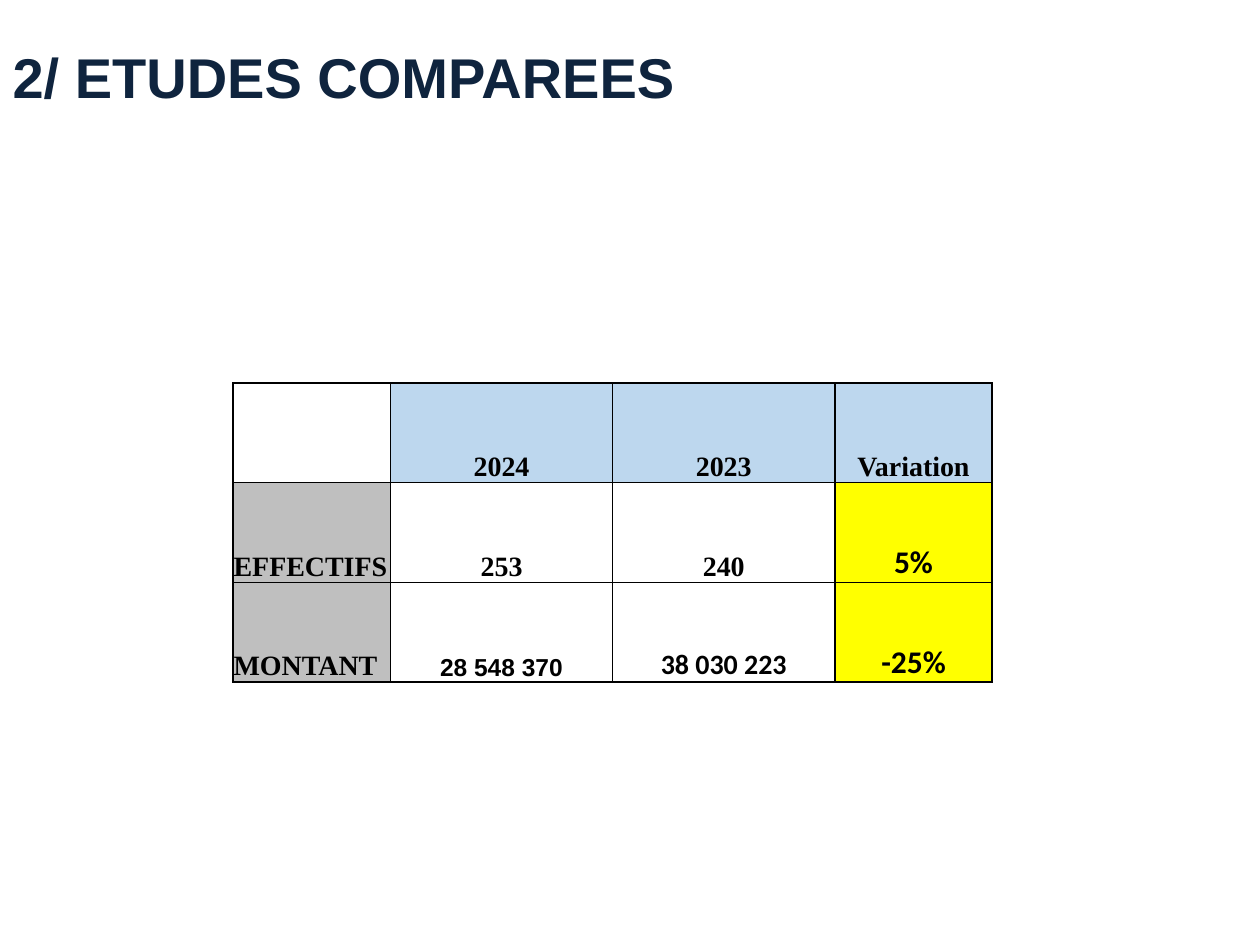
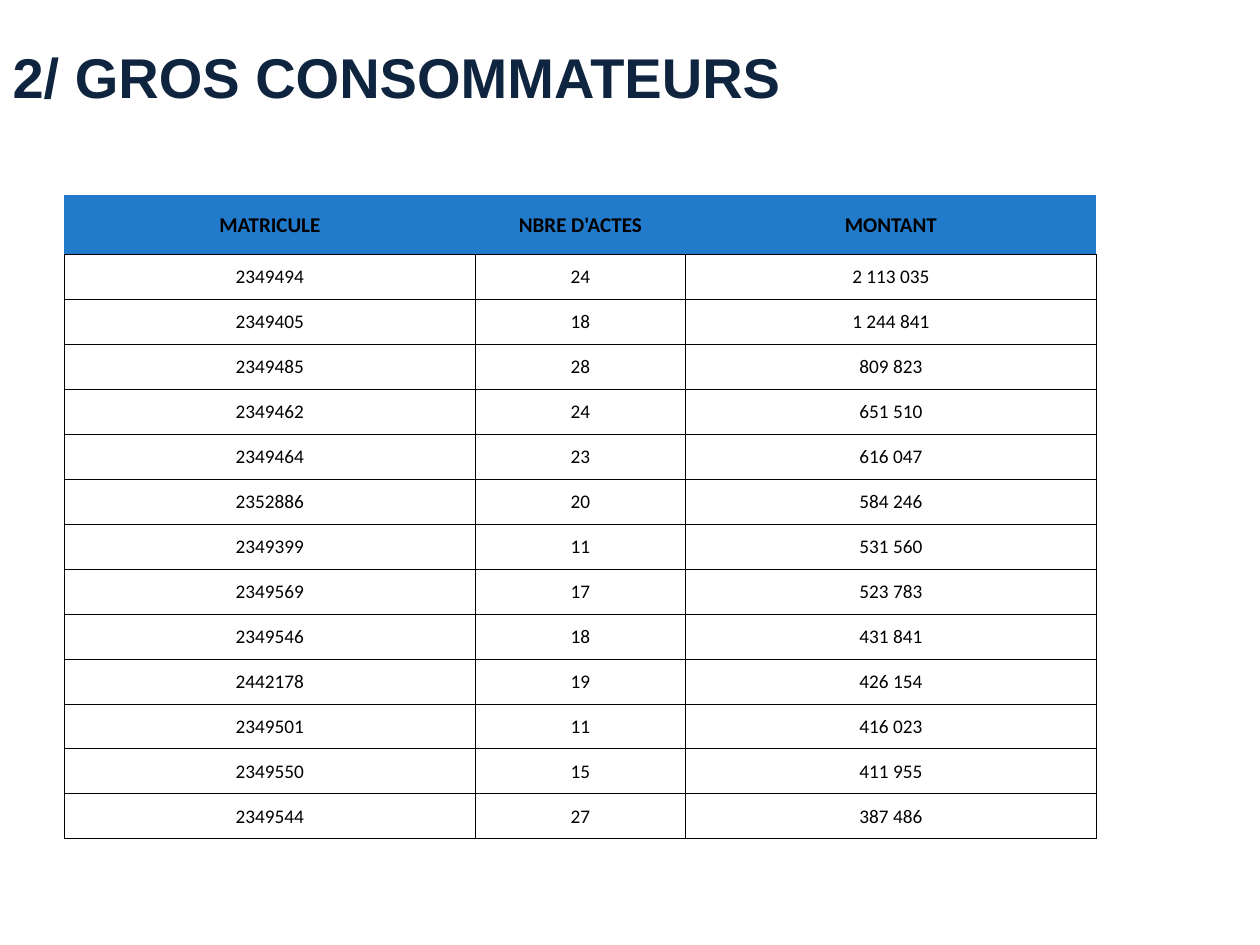
from dataclasses import dataclass

from lxml.etree import SubElement
from pptx import Presentation
from pptx.dml.color import RGBColor
from pptx.enum.text import MSO_ANCHOR, PP_ALIGN
from pptx.oxml.ns import qn
from pptx.presentation import Presentation as Deck
from pptx.slide import Slide
from pptx.table import _Cell
from pptx.util import Cm, Pt

NAVY = RGBColor(0x0F, 0x24, 0x3E)
BLACK = RGBColor(0x00, 0x00, 0x00)
PALE_BLUE = RGBColor(0xBD, 0xD7, 0xEE)
BLUE = RGBColor(0x22, 0x7A, 0xCB)
GREY = RGBColor(0xBF, 0xBF, 0xBF)
YELLOW = RGBColor(0xFF, 0xFF, 0x00)

ALL_SIDES = "LRTB"
TITLE_ONLY_LAYOUT = 5
CELL_INSET = Cm(0.01)
CONSUMER_ROWS_HEIGHT = 11.79


@dataclass(frozen=True)
class CellStyle:
    font: str
    size: float
    bold: bool = True
    fill: RGBColor | None = None
    align: PP_ALIGN = PP_ALIGN.CENTER
    anchor: MSO_ANCHOR = MSO_ANCHOR.BOTTOM
    border: float = 1
    sides: str = ALL_SIDES


@dataclass(frozen=True)
class Entry:
    text: str
    style: CellStyle


@dataclass(frozen=True)
class Grid:
    """Lengths in centimetres."""
    left: float
    top: float
    columns: list[float]
    rows: list[float]
    entries: list[list[Entry]]


YEAR = CellStyle("Times New Roman", 16, fill=PALE_BLUE)
MEASURE = CellStyle("Times New Roman", 16, fill=GREY, align=PP_ALIGN.LEFT)
HEADCOUNT = CellStyle("Times New Roman", 16)
AMOUNT_2024 = CellStyle("Arial", 14)
AMOUNT_2023 = CellStyle("Calibri", 16)
VARIATION = CellStyle("Calibri", 18, fill=YELLOW)
CONSUMER_HEADING = CellStyle("Calibri", 12, fill=BLUE, anchor=MSO_ANCHOR.MIDDLE,
                             border=0.5, sides="B")
CONSUMER = CellStyle("Calibri", 11, bold=False, anchor=MSO_ANCHOR.MIDDLE, border=0.5)

COMPARISON = [
    [Entry("", HEADCOUNT), Entry("2024", YEAR), Entry("2023", YEAR), Entry("Variation", YEAR)],
    [Entry("EFFECTIFS", MEASURE), Entry("253", HEADCOUNT), Entry("240", HEADCOUNT),
     Entry("5%", VARIATION)],
    [Entry("MONTANT", MEASURE), Entry("28 548 370", AMOUNT_2024),
     Entry("38 030 223", AMOUNT_2023), Entry("-25%", VARIATION)],
]

CONSUMER_HEADINGS = ("MATRICULE", "NBRE D'ACTES", "MONTANT")
CONSUMERS = [
    ("2349494", "24", "2 113 035"),
    ("2349405", "18", "1 244 841"),
    ("2349485", "28", "809 823"),
    ("2349462", "24", "651 510"),
    ("2349464", "23", "616 047"),
    ("2352886", "20", "584 246"),
    ("2349399", "11", "531 560"),
    ("2349569", "17", "523 783"),
    ("2349546", "18", "431 841"),
    ("2442178", "19", "426 154"),
    ("2349501", "11", "416 023"),
    ("2349550", "15", "411 955"),
    ("2349544", "27", "387 486"),
]


def add_titled_slide(deck: Deck, heading: str) -> Slide:
    slide = deck.slides.add_slide(deck.slide_layouts[TITLE_ONLY_LAYOUT])
    title = slide.shapes.title
    title.left, title.top, title.width, title.height = Cm(0), Cm(0.05), Cm(25.4), Cm(2.97)
    title.text_frame.vertical_anchor = MSO_ANCHOR.MIDDLE
    paragraph = title.text_frame.paragraphs[0]
    paragraph.alignment = PP_ALIGN.LEFT
    run = paragraph.add_run()
    run.text = heading
    run.font.name, run.font.size, run.font.bold = "Arial", Pt(32), True
    run.font.color.rgb = NAVY
    return slide


def draw_borders(cell: _Cell, style: CellStyle) -> None:
    """Must run before the fill is set: the schema puts lines ahead of it."""
    properties = cell._tc.get_or_add_tcPr()
    for side in ALL_SIDES:
        line = SubElement(properties, qn(f"a:ln{side}"), w=str(Pt(style.border)))
        if side in style.sides:
            colour = SubElement(line, qn("a:solidFill"))
            SubElement(colour, qn("a:srgbClr"), val=str(BLACK))
        else:
            SubElement(line, qn("a:noFill"))


def fill_cell(cell: _Cell, entry: Entry) -> None:
    style = entry.style
    cell.margin_left = cell.margin_right = cell.margin_top = CELL_INSET
    cell.margin_bottom = 0
    cell.vertical_anchor = style.anchor
    draw_borders(cell, style)
    if style.fill is None:
        cell.fill.background()
    else:
        cell.fill.solid()
        cell.fill.fore_color.rgb = style.fill
    if not entry.text:
        return
    paragraph = cell.text_frame.paragraphs[0]
    paragraph.alignment = style.align
    run = paragraph.add_run()
    run.text = entry.text
    run.font.name, run.font.size, run.font.bold = style.font, Pt(style.size), style.bold
    run.font.color.rgb = BLACK


def add_grid(slide: Slide, grid: Grid) -> None:
    table = slide.shapes.add_table(
        len(grid.rows), len(grid.columns), Cm(grid.left), Cm(grid.top),
        Cm(sum(grid.columns)), Cm(sum(grid.rows))).table
    table.first_row = table.horz_banding = False
    for column, width in zip(table.columns, grid.columns):
        column.width = Cm(width)
    for row, height, entries in zip(table.rows, grid.rows, grid.entries):
        row.height = Cm(height)
        for cell, entry in zip(row.cells, entries):
            fill_cell(cell, entry)


def main() -> None:
    deck = Presentation()
    deck.slide_width, deck.slide_height = Cm(25.4), Cm(19.05)

    comparison = Grid(4.7, 7.72, [3.17, 4.48, 4.48, 3.17], [2.01] * 3, COMPARISON)
    add_grid(add_titled_slide(deck, "2/ ETUDES COMPAREES"), comparison)

    consumer_entries = [[Entry(text, CONSUMER_HEADING) for text in CONSUMER_HEADINGS]]
    consumer_entries += [[Entry(text, CONSUMER) for text in consumer] for consumer in CONSUMERS]
    consumer_row = CONSUMER_ROWS_HEIGHT / len(CONSUMERS)
    consumers = Grid(1.3, 3.94, [8.28, 4.24, 8.28],
                     [1.19] + [consumer_row] * len(CONSUMERS), consumer_entries)
    add_grid(add_titled_slide(deck, "2/ GROS CONSOMMATEURS"), consumers)

    deck.save("out.pptx")


if __name__ == "__main__":
    main()
